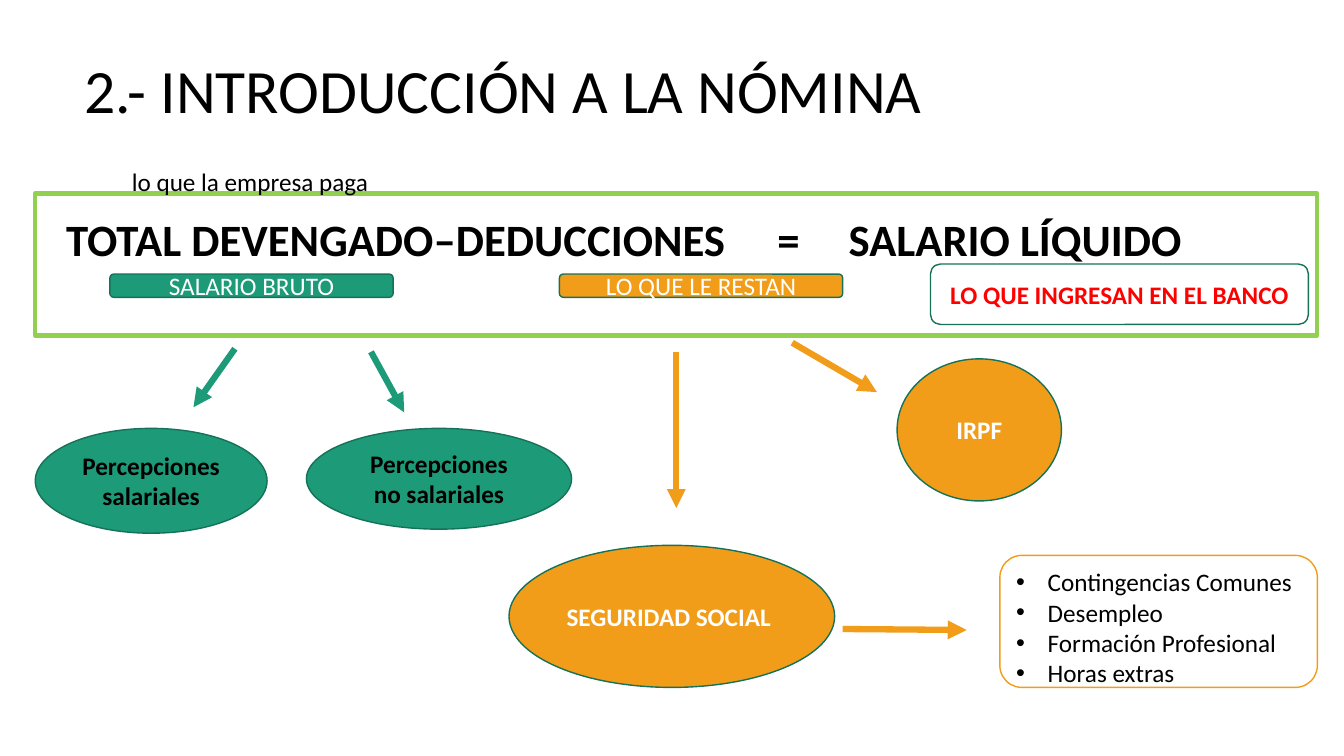
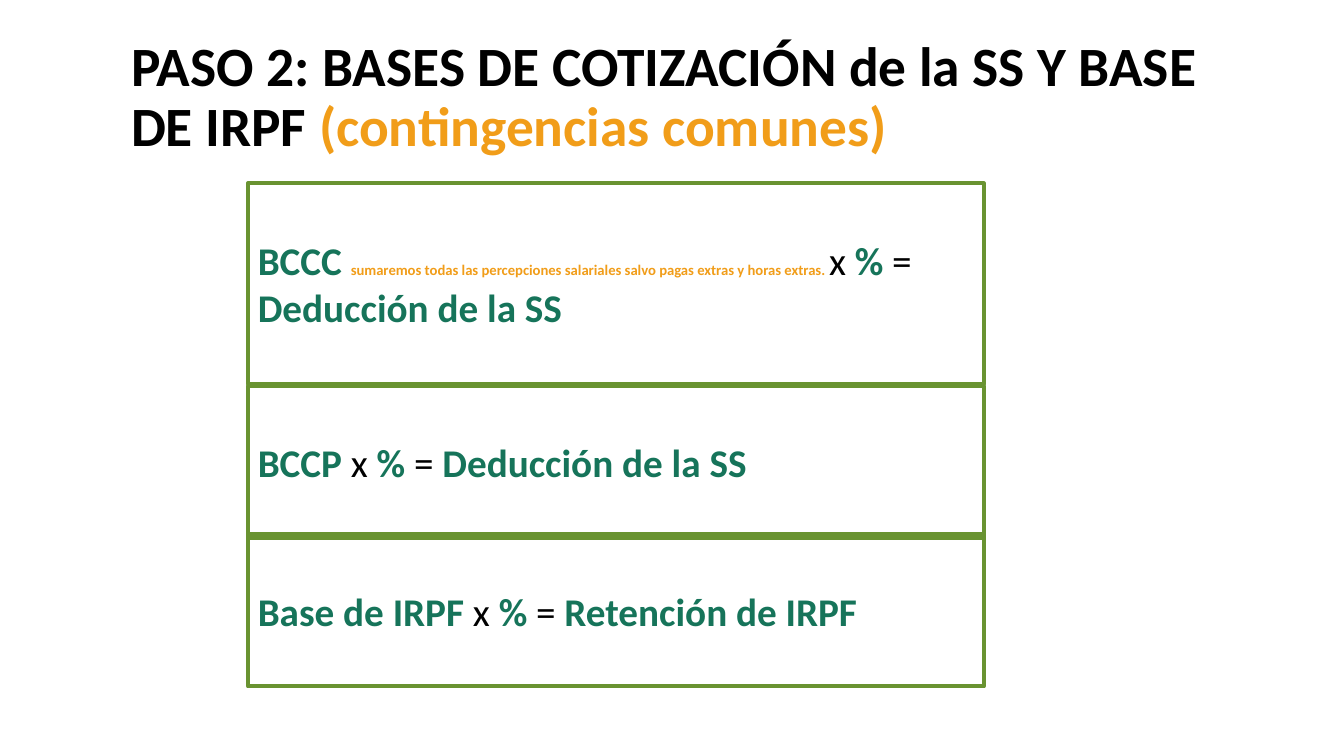
from pptx import Presentation
from pptx.dml.color import RGBColor
from pptx.enum import shapes, text
from pptx.oxml import ns
from pptx.util import Pt
from lxml import etree

FONT = "Calibri"
COLOURS = {
    "black": "000000", "white": "FFFFFF", "red": "FF0000",
    "teal": "1D9A78", "teal_edge": "157259", "teal_text": "16745A",
    "orange": "F19D19", "lime": "92D050", "green": "699331",
}
LEFT, CENTER = text.PP_ALIGN.LEFT, text.PP_ALIGN.CENTER
TOP, MIDDLE = text.MSO_ANCHOR.TOP, text.MSO_ANCHOR.MIDDLE
RECTANGLE = shapes.MSO_SHAPE.RECTANGLE
ROUNDED = shapes.MSO_SHAPE.ROUNDED_RECTANGLE
OVAL = shapes.MSO_SHAPE.OVAL


def colour(name):
    return RGBColor.from_string(COLOURS[name])


def add_xml(parent, tag, **attributes):
    return etree.SubElement(parent, ns.qn(tag), **attributes)


# Text: a run is (text, size, colour, bold)
def add_runs(paragraph, runs):
    for words, size, colour_name, bold in runs:
        run = paragraph.add_run()
        run.text = words
        run.font.name = FONT
        run.font.size = Pt(size)
        run.font.bold = bold
        run.font.color.rgb = colour(colour_name)


def fill_frame(frame, paragraphs, align=LEFT, anchor=MIDDLE, wrap=True):
    frame.word_wrap = wrap
    frame.vertical_anchor = anchor
    for index, runs in enumerate(paragraphs):
        paragraph = frame.add_paragraph() if index else frame.paragraphs[0]
        paragraph.alignment = align
        add_runs(paragraph, runs)


def add_titled_slide(presentation, box, runs):
    slide = presentation.slides.add_slide(presentation.slide_layouts[5])
    title = slide.shapes.title
    title.left, title.top, title.width, title.height = map(Pt, box)
    fill_frame(title.text_frame, [runs])
    title.text_frame.auto_size = text.MSO_AUTO_SIZE.NONE
    title.text_frame.paragraphs[0].line_spacing = 0.9
    return slide


def add_caption(slide, box, runs):
    caption = slide.shapes.add_textbox(*map(Pt, box))
    fill_frame(caption.text_frame, [runs], anchor=TOP, wrap=False)


# Shapes and arrows
def add_box(slide, kind, box, paragraphs, fill=None, line="teal_edge",
            line_width=1, align=CENTER, anchor=MIDDLE):
    shape = slide.shapes.add_shape(kind, *map(Pt, box))
    shape.shadow.inherit = False
    if fill:
        shape.fill.solid()
        shape.fill.fore_color.rgb = colour(fill)
    else:
        shape.fill.background()
    shape.line.color.rgb = colour(line)
    shape.line.width = Pt(line_width)
    fill_frame(shape.text_frame, paragraphs, align, anchor)
    return shape


def add_arrow(slide, points, colour_name):
    arrow = slide.shapes.add_connector(
        shapes.MSO_CONNECTOR.STRAIGHT, *map(Pt, points))
    arrow.line.color.rgb = colour(colour_name)
    arrow.line.width = Pt(4.5)
    properties = arrow.element.spPr
    add_xml(properties.find(ns.qn("a:ln")), "a:tailEnd", type="triangle")
    add_xml(properties, "a:effectLst")


def set_tabs(paragraph, positions):
    tabs = add_xml(paragraph._p.get_or_add_pPr(), "a:tabLst")
    for position in positions:
        add_xml(tabs, "a:tab", pos=str(Pt(position)), algn="l")


def add_bullet(paragraph, indent):
    properties = paragraph._p.get_or_add_pPr()
    properties.set("marL", str(Pt(indent)))
    properties.set("indent", str(-Pt(indent)))
    add_xml(properties, "a:buFont", typeface="Arial")
    add_xml(properties, "a:buChar", char="•")


# Slide 1: parts of the payslip
def build_payslip(presentation):
    slide = add_titled_slide(
        presentation, (53.3, 36.7, 825, 60.5),
        [("2.- INTRODUCCIÓN A LA NÓMINA", 44, "black", False)])

    # Formula band
    formula = add_box(
        slide, RECTANGLE, (25.2, 138.2, 915.8, 101.5),
        [[("TOTAL DEVENGADO–DEDUCCIONES\t=\tSALARIO LÍQUIDO",
           32, "black", True)]],
        line="lime", line_width=3, align=LEFT, anchor=TOP)
    formula.text_frame.margin_left = Pt(22)
    formula.text_frame.margin_top = Pt(13)
    set_tabs(formula.text_frame.paragraphs[0], (508, 559))

    # Ovals and labels
    for kind, box, words, fill, ink, bold, align in (
        (OVAL, (25.2, 306, 165.6, 74.9), "Percepciones salariales",
         "teal", "black", True, CENTER),
        (OVAL, (218.9, 306, 189.4, 72), "Percepciones no salariales",
         "teal", "black", True, CENTER),
        (OVAL, (363.6, 389.5, 232.6, 101.5), "SEGURIDAD SOCIAL",
         "orange", "white", True, LEFT),
        (OVAL, (640.8, 256.3, 117.4, 101.5), "IRPF",
         "orange", "white", True, CENTER),
        (ROUNDED, (78.5, 195.8, 202.3, 16.6), "SALARIO BRUTO",
         "teal", "white", False, CENTER),
        (ROUNDED, (399.6, 195.8, 202.3, 16.6), "LO QUE LE RESTAN",
         "orange", "white", False, CENTER),
        (ROUNDED, (664.6, 188.6, 270, 43.2), "LO QUE INGRESAN EN EL BANCO",
         None, "red", True, CENTER),
    ):
        add_box(slide, kind, box, [[(words, 18, ink, bold)]], fill,
                align=align)

    # Arrows
    for points, colour_name in (
        ((167.8, 249.1, 138.2, 290.9), "teal"),
        ((265, 251.3, 288.7, 294.5), "teal"),
        ((483.1, 251.3, 483.1, 362.9), "orange"),
        ((565.9, 244.8, 626.4, 280.1), "orange"),
        ((601.9, 449.3, 690.5, 450), "orange"),
    ):
        add_arrow(slide, points, colour_name)

    # Social security items
    items = ("Contingencias Comunes", "Desempleo", "Formación Profesional",
             "Horas extras")
    item_box = add_box(
        slide, ROUNDED, (714.2, 396.7, 226.8, 94.3),
        [[(item, 18, "black", False)] for item in items],
        fill="white", line="orange", align=LEFT, anchor=TOP)
    for paragraph in item_box.text_frame.paragraphs:
        add_bullet(paragraph, 22.5)

    add_caption(slide, (87.1, 115.2, 189.4, 28.8),
                [("lo que la empresa paga", 18, "black", False)])


# Slide 2: contribution bases
def build_bases(presentation):
    slide = add_titled_slide(
        presentation, (86.4, 32.4, 792, 76.3),
        [("PASO 2: BASES DE COTIZACIÓN de la SS Y BASE DE IRPF ",
          39.6, "black", True),
         ("(contingencias comunes)", 39.6, "orange", True)])

    note = [("sumaremos todas las percepciones salariales salvo pagas "
             "extras y horas extras. ", 10.5, "orange", True)]
    for top, height, base, detail, result in (
        (131, 143.3, "BCCC ", note, "Deducción de la SS"),
        (275.8, 108.7, "BCCP ", [], "Deducción de la SS"),
        (381.6, 108.7, "Base de IRPF ", [], "Retención de IRPF"),
    ):
        runs = [(base, 28, "teal_text", True), *detail,
                ("x ", 28, "black", False), ("%", 28, "teal_text", True),
                (" = ", 28, "black", False), (result, 28, "teal_text", True)]
        add_box(slide, RECTANGLE, (177.1, top, 525.6, height), [runs],
                line="green", line_width=3, align=LEFT)


def main():
    presentation = Presentation()
    presentation.slide_width = Pt(960)
    presentation.slide_height = Pt(540)
    build_payslip(presentation)
    build_bases(presentation)
    presentation.save("out.pptx")


main()
